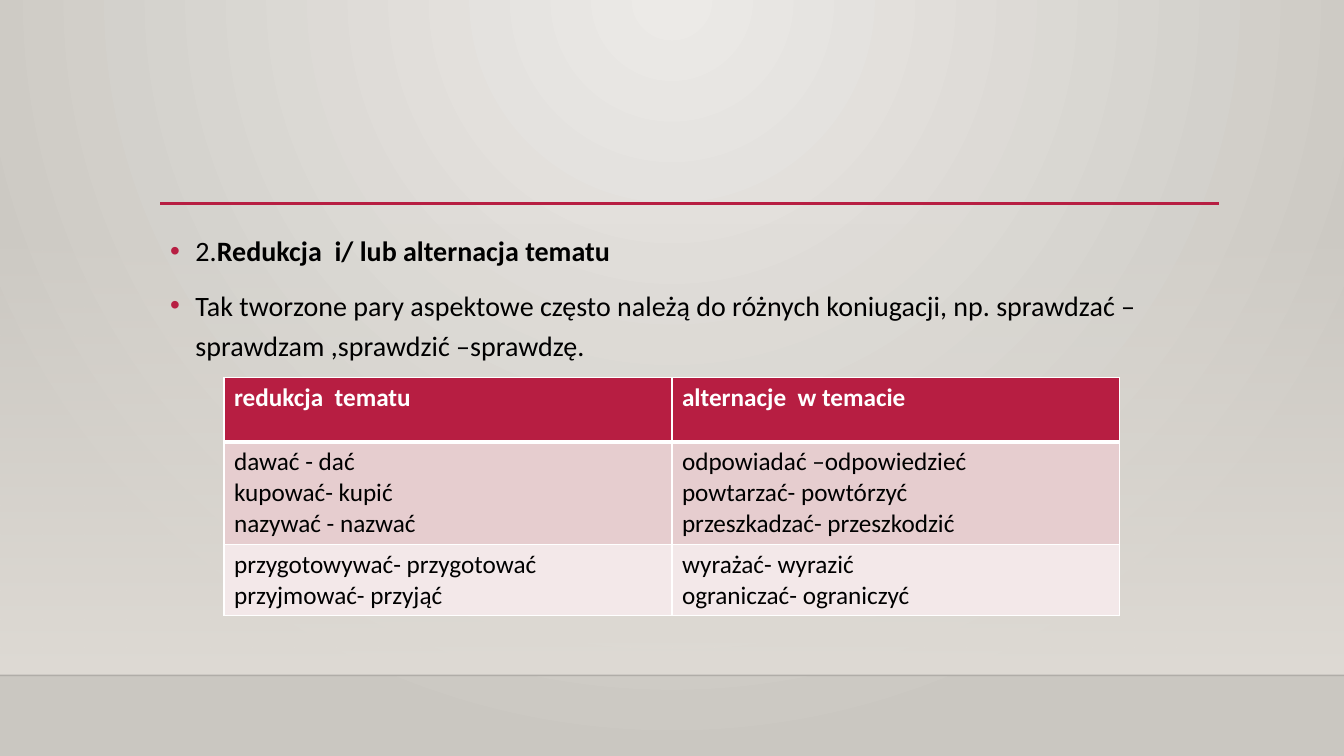
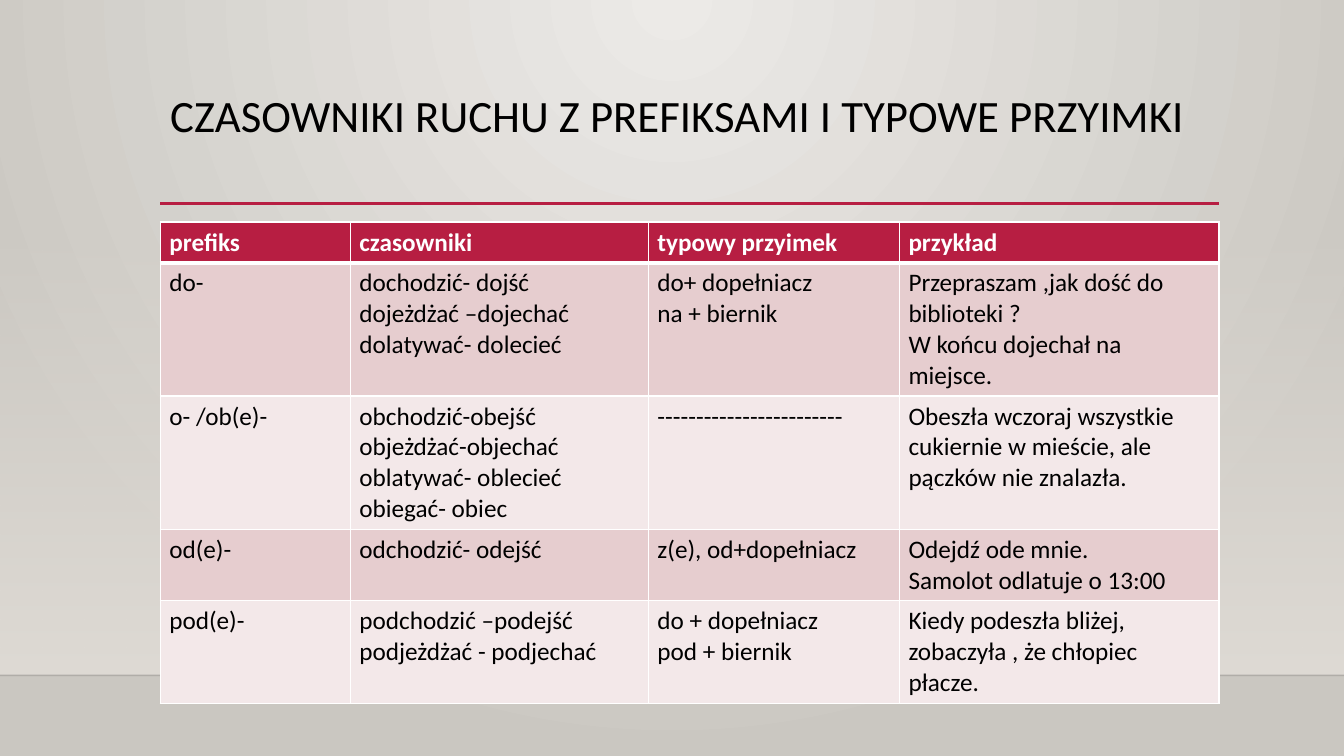
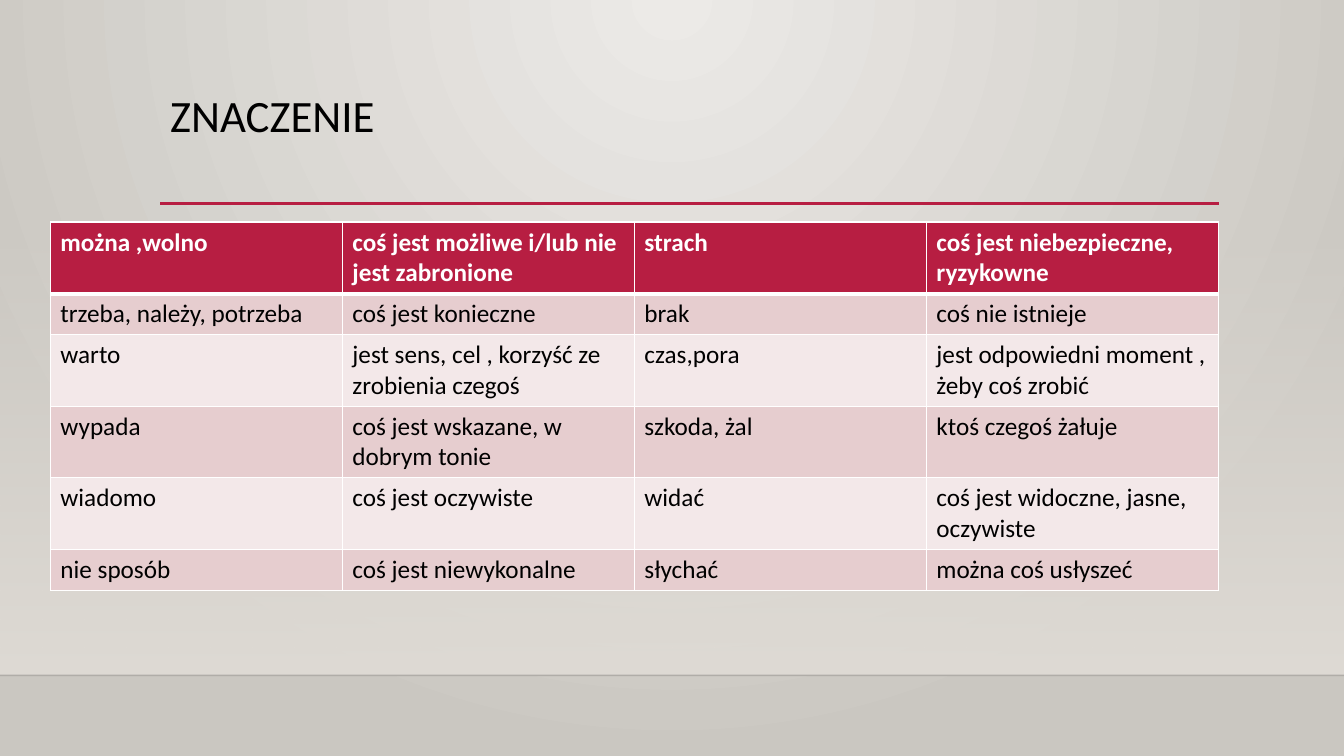
from pptx import Presentation
from pptx.dml.color import RGBColor
from pptx.enum.shapes import MSO_CONNECTOR, MSO_SHAPE
from pptx.enum.text import MSO_ANCHOR, MSO_AUTO_SIZE, PP_ALIGN
from pptx.oxml import parse_xml
from pptx.oxml.ns import nsdecls
from pptx.util import Pt

STRAIGHT = MSO_CONNECTOR.STRAIGHT
RECTANGLE = MSO_SHAPE.RECTANGLE
TOP = MSO_ANCHOR.TOP
LEFT = PP_ALIGN.LEFT
NO_AUTOFIT = MSO_AUTO_SIZE.NONE

CRIMSON = RGBColor(0xB7, 0x1E, 0x42)
ROSE = RGBColor(0xE6, 0xCD, 0xCF)
PALE_ROSE = RGBColor(0xF3, 0xE8, 0xE9)
LIGHT_STONE = RGBColor(0xEC, 0xEA, 0xE7)
DARK_STONE = RGBColor(0xCA, 0xC7, 0xC1)
BAND_STONE = RGBColor(0xDF, 0xDB, 0xD5)
BLACK = RGBColor(0, 0, 0)
WHITE = RGBColor(0xFF, 0xFF, 0xFF)

FONT = "Calibri"
SLIDE_WIDTH, SLIDE_HEIGHT = 960, 540
CONTENT_LEFT, CONTENT_WIDTH = 114.4, 756.4
CONTENT_TOP = 158.6
RULE_TOP = 145.4
BAND_TOP, BAND_BOTTOM = 159, 482.4
TITLE_ONLY, TITLE_AND_CONTENT = 5, 1
ROW_HEIGHT = 29.2

STEM_ROWS = [
    ["redukcja  tematu", "alternacje  w temacie"],
    ["dawać - dać\nkupować- kupić\nnazywać - nazwać",
     "odpowiadać –odpowiedzieć\npowtarzać- powtórzyć\nprzeszkadzać- przeszkodzić"],
    ["przygotowywać- przygotować\nprzyjmować- przyjąć",
     "wyrażać- wyrazić\nograniczać- ograniczyć"],
]
PREFIX_ROWS = [
    ["prefiks", "czasowniki", "typowy przyimek", "przykład"],
    ["do-", "dochodzić- dojść\ndojeżdżać –dojechać\ndolatywać- dolecieć",
     "do+ dopełniacz\nna + biernik",
     "Przepraszam ,jak dość do biblioteki ?\nW końcu dojechał na miejsce."],
    ["o- /ob(e)-",
     "obchodzić-obejść\nobjeżdżać-objechać\noblatywać- oblecieć\nobiegać- obiec",
     "------------------------",
     "Obeszła wczoraj wszystkie cukiernie w mieście, ale pączków nie znalazła."],
    ["od(e)-", "odchodzić- odejść", "z(e), od+dopełniacz",
     "Odejdź ode mnie.\nSamolot odlatuje o 13:00"],
    ["pod(e)-", "podchodzić –podejść\npodjeżdżać - podjechać",
     "do + dopełniacz\npod + biernik",
     "Kiedy podeszła bliżej, zobaczyła , że chłopiec płacze."],
]
MEANING_ROWS = [
    ["można ,wolno", "coś jest możliwe i/lub nie jest zabronione",
     "strach", "coś jest niebezpieczne, ryzykowne"],
    ["trzeba, należy, potrzeba", "coś jest konieczne", "brak", "coś nie istnieje"],
    ["warto", "jest sens, cel , korzyść ze zrobienia czegoś",
     "czas,pora", "jest odpowiedni moment , żeby coś zrobić"],
    ["wypada", "coś jest wskazane, w dobrym tonie", "szkoda, żal", "ktoś czegoś żałuje"],
    ["wiadomo", "coś jest oczywiste", "widać", "coś jest widoczne, jasne, oczywiste"],
    ["nie sposób", "coś jest niewykonalne", "słychać", "można coś usłyszeć"],
]


def set_alpha(color_element, percent):
    """Give a colour element an opacity."""
    color_element.append(parse_xml(f'<a:alpha {nsdecls("a")} val="{percent * 1000}"/>'))


def set_gradient(fill, first, last):
    """Fill with two colours."""
    fill.gradient()
    for stop, color in zip(fill.gradient_stops, (first, last)):
        stop.color.rgb = color


def format_runs(paragraph, size, color, bold=False):
    """Style every run of a paragraph."""
    for run in paragraph.runs:
        run.font.name = FONT
        run.font.size = Pt(size)
        run.font.color.rgb = color
        run.font.bold = bold


def add_rule(shapes, left, right, top, color, weight):
    """Add a horizontal line without a shadow."""
    rule = shapes.add_connector(STRAIGHT, Pt(left), Pt(top), Pt(right), Pt(top))
    rule.line.color.rgb = color
    rule.line.width = Pt(weight)
    rule.element.spPr.append(parse_xml(f'<a:effectLst {nsdecls("a")}/>'))
    return rule


def add_band(shapes):
    """Add the band that fades in towards the floor line."""
    band = shapes.add_shape(RECTANGLE, 0, Pt(BAND_TOP), Pt(SLIDE_WIDTH), Pt(BAND_BOTTOM - BAND_TOP))
    band.shadow.inherit = False
    band.line.fill.background()
    set_gradient(band.fill, BAND_STONE, BAND_STONE)
    band.fill.gradient_angle = 270
    set_alpha(band.element.xpath(".//a:gs/a:srgbClr")[0], 0)
    return band


def decorate_master(master, shapes):
    """Give the master its background, band and lines, drawn first in shapes."""
    set_gradient(master.background.fill, LIGHT_STONE, DARK_STONE)
    direction = master.element.xpath("./p:cSld/p:bg//a:lin")[0]
    direction.getparent().replace(direction, parse_xml(
        f'<a:path {nsdecls("a")} path="circle">'
        '<a:fillToRect l="43000" t="0" r="43000" b="100000"/></a:path>'))
    band = add_band(shapes)
    floor = add_rule(shapes, 0, SLIDE_WIDTH, BAND_BOTTOM, BLACK, 1)
    set_alpha(floor.element.xpath(".//a:ln//a:srgbClr")[0], 20)
    title_rule = add_rule(shapes, CONTENT_LEFT, CONTENT_LEFT + CONTENT_WIDTH, RULE_TOP, CRIMSON, 2.5)
    for index, shape in enumerate((band, floor, title_rule)):
        shape.element.xpath(".//p:cNvPr")[0].set("id", str(20 + index))
        master.shapes.element.insert(2 + index, shape.element)


def place_text(shape, top, height):
    """Place a text placeholder in the content column."""
    shape.left, shape.top = Pt(CONTENT_LEFT), Pt(top)
    shape.width, shape.height = Pt(CONTENT_WIDTH), Pt(height)
    shape.text_frame.vertical_anchor = TOP
    shape.text_frame.auto_size = NO_AUTOFIT
    shape.text_frame.word_wrap = True


def set_title(slide, text):
    """Write the slide title."""
    title = slide.shapes.title
    place_text(title, 63.4, 82.6)
    title.text_frame.text = text
    paragraph = title.text_frame.paragraphs[0]
    paragraph.alignment = LEFT
    paragraph.line_spacing = 0.9
    format_runs(paragraph, 32, BLACK)


def set_bullets(body, items):
    """Write bulleted paragraphs."""
    place_text(body, CONTENT_TOP, 271.4)
    body.text_frame.text = "\n".join(items)
    for index, paragraph in enumerate(body.text_frame.paragraphs):
        properties = paragraph._p.get_or_add_pPr()
        properties.set("marL", str(Pt(18)))
        properties.set("indent", str(-Pt(18)))
        properties.append(parse_xml(
            f'<a:buClr {nsdecls("a")}><a:srgbClr val="{CRIMSON}"/></a:buClr>'))
        properties.append(parse_xml(f'<a:buChar {nsdecls("a")} char="•"/>'))
        paragraph.line_spacing = 1.2
        paragraph.space_before = Pt(10 if index else 0)
        format_runs(paragraph, 20, BLACK)


def set_borders(cell, top, bottom):
    """Give a cell white borders, one point wide at the sides."""
    properties = cell._tc.get_or_add_tcPr()
    for side, weight in (("L", 1), ("R", 1), ("T", top), ("B", bottom)):
        properties.append(parse_xml(
            f'<a:ln{side} {nsdecls("a")} w="{Pt(weight)}"><a:solidFill>'
            f'<a:srgbClr val="{WHITE}"/></a:solidFill></a:ln{side}>'))


def add_grid(slide, rows, left, top, widths, row_height=ROW_HEIGHT, side_margin=7.2):
    """Add a table with a crimson header and alternating rows."""
    table = slide.shapes.add_table(
        len(rows), len(widths), Pt(left), Pt(top),
        Pt(sum(widths)), Pt(row_height * len(rows))).table
    for column, width in zip(table.columns, widths):
        column.width = Pt(width)
    for row_index, texts in enumerate(rows):
        table.rows[row_index].height = Pt(row_height)
        is_header = row_index == 0
        for column_index, text in enumerate(texts):
            cell = table.cell(row_index, column_index)
            set_borders(cell, 3 if row_index == 1 else 1, 3 if is_header else 1)
            cell.fill.solid()
            cell.fill.fore_color.rgb = CRIMSON if is_header else (PALE_ROSE, ROSE)[row_index % 2]
            cell.margin_left = cell.margin_right = Pt(side_margin)
            cell.text_frame.text = text
            for paragraph in cell.text_frame.paragraphs:
                format_runs(paragraph, 18, WHITE if is_header else BLACK, is_header)


def build_stem_slide(slide):
    """Build the slide on stem reduction and alternation."""
    title = slide.shapes.title.element
    title.getparent().remove(title)
    body = slide.placeholders[1]
    set_bullets(body, [
        "2.",
        "Tak tworzone pary aspektowe często należą do różnych koniugacji, "
        "np. sprawdzać – sprawdzam ,sprawdzić –sprawdzę.",
    ])
    heading = body.text_frame.paragraphs[0]
    heading.add_run().text = "Redukcja  i/ lub alternacja tematu"
    format_runs(heading, 20, BLACK, True)
    heading.runs[0].font.bold = False
    add_grid(slide, STEM_ROWS, 160, 269.6, [320, 320], row_height=46)


def build_prefix_slide(slide):
    """Build the slide on verbs of motion."""
    set_title(slide, "CZASOWNIKI RUCHU Z PREFIKSAMI I TYPOWE PRZYIMKI")
    add_grid(slide, PREFIX_ROWS, CONTENT_LEFT, CONTENT_TOP,
             [135.8, 212.9, 179.3, 228.4], side_margin=6.6)


def build_meaning_slide(slide):
    """Build the slide on meanings."""
    set_title(slide, "ZNACZENIE")
    add_grid(slide, MEANING_ROWS, 36, CONTENT_TOP, [208.6] * 4)


def main():
    """Build and save the presentation."""
    presentation = Presentation()
    presentation.slide_width, presentation.slide_height = Pt(SLIDE_WIDTH), Pt(SLIDE_HEIGHT)
    builders = (
        (TITLE_AND_CONTENT, build_stem_slide),
        (TITLE_ONLY, build_prefix_slide),
        (TITLE_ONLY, build_meaning_slide),
    )
    for layout, build in builders:
        build(presentation.slides.add_slide(presentation.slide_layouts[layout]))
    decorate_master(presentation.slide_master, presentation.slides[0].shapes)
    presentation.save("out.pptx")


if __name__ == "__main__":
    main()
